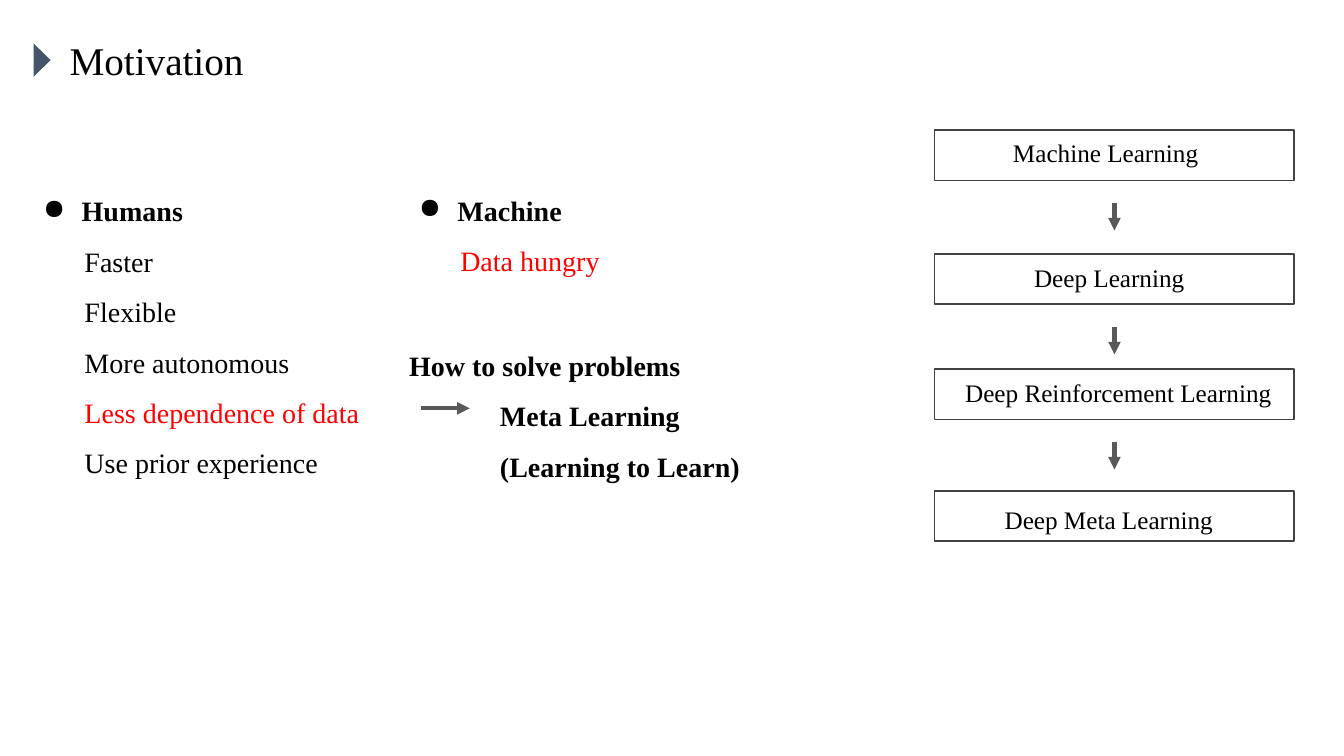
from dataclasses import dataclass

from lxml import etree
from pptx import Presentation
from pptx.dml.color import RGBColor
from pptx.enum.shapes import MSO_CONNECTOR, MSO_SHAPE
from pptx.enum.text import MSO_ANCHOR, PP_ALIGN
from pptx.oxml.ns import qn
from pptx.util import Cm, Pt

TRIANGLE, RECTANGLE = MSO_SHAPE.ISOSCELES_TRIANGLE, MSO_SHAPE.RECTANGLE
STRAIGHT = MSO_CONNECTOR.STRAIGHT
TOP, MIDDLE = MSO_ANCHOR.TOP, MSO_ANCHOR.MIDDLE
LEFT, CENTER = PP_ALIGN.LEFT, PP_ALIGN.CENTER


@dataclass(frozen=True)
class Theme:
    """Fonts, type sizes and colours of the slide."""
    font: str = "Times New Roman"
    title: Pt = Pt(28)
    body: Pt = Pt(20)
    step: Pt = Pt(18)
    text: RGBColor = RGBColor(0, 0, 0)
    accent: RGBColor = RGBColor(255, 0, 0)
    marker: RGBColor = RGBColor(0x44, 0x54, 0x6A)
    border: RGBColor = RGBColor(0x42, 0x42, 0x42)
    arrow: RGBColor = RGBColor(0x59, 0x59, 0x59)


THEME = Theme()
HEADING = {"bold": True, "bullet": True}
ITEM = {"margin": 1.04}
KEY_ITEM = {"margin": 1.04, "color": THEME.accent}
STRONG = {"bold": True}
ANSWER = {"bold": True, "margin": 2.29}

BOX_LEFT, BOX_WIDTH, BOX_HEIGHT = 23.55, 9.07, 1.27
ARROW_GAP, ARROW_LENGTH = 0.56, 0.7
STEPS = [
    ("Machine Learning", 3.28, -0.22, -0.08),
    ("Deep Learning", 6.4, -0.13, -0.05),
    ("Deep Reinforcement Learning", 9.3, 0.1, -0.05),
    ("Deep Meta Learning", 12.37, -0.14, 0.08),
]


def set_all(target, values):
    """Set each attribute in values on target."""
    for name, value in values.items():
        setattr(target, name, value)


def add_run(p, text, size, color=THEME.text, bold=False):
    """Add a formatted run to a paragraph."""
    r = p.add_run()
    r.text = text
    set_all(r.font, {"name": THEME.font, "size": size, "bold": bold})
    r.font.color.rgb = color


def add_title(s, text):
    """Fill and place the title with its triangular marker."""
    sp = s.shapes.title
    set_all(sp, {"left": Cm(1.5), "top": Cm(0.79), "width": Cm(6), "height": Cm(1.45)})
    set_all(sp.text_frame, {"word_wrap": True, "vertical_anchor": TOP})
    p = sp.text_frame.paragraphs[0]
    set_all(p, {"alignment": LEFT, "line_spacing": 1.0})
    add_run(p, text, THEME.title)
    marker = s.shapes.add_shape(TRIANGLE, Cm(0.64), Cm(1.3), Cm(0.84), Cm(0.43))
    marker.rotation = 90
    marker.shadow.inherit = False
    marker.fill.solid()
    marker.fill.fore_color.rgb = THEME.marker
    marker.line.fill.background()


def set_indent(p, margin=0, bullet=False):
    """Indent a paragraph, with a hanging bullet if asked."""
    pPr = p._p.get_or_add_pPr()
    if bullet:
        pPr.set("marL", str(Cm(0.97)))
        pPr.set("indent", str(-Cm(0.97)))
        etree.SubElement(pPr, qn("a:buChar")).set("char", "●")
    else:
        pPr.set("marL", str(Cm(margin)))


def add_text(s, left, top, width, height, lines):
    """Add a text box with one paragraph per (text, format) line."""
    tf = s.shapes.add_textbox(Cm(left), Cm(top), Cm(width), Cm(height)).text_frame
    tf.word_wrap = True
    for i, (text, style) in enumerate(lines):
        p = tf.add_paragraph() if i else tf.paragraphs[0]
        set_indent(p, style.get("margin", 0), style.get("bullet", False))
        p.line_spacing = 1.5
        add_run(p, text, THEME.body, style.get("color", THEME.text), style.get("bold", False))


def add_arrow(s, x1, y1, x2, y2):
    """Add a straight arrow."""
    sp = s.shapes.add_connector(STRAIGHT, Cm(x1), Cm(y1), Cm(x2), Cm(y2))
    sp.line.color.rgb = THEME.arrow
    sp.line.width = Pt(3)
    etree.SubElement(sp.line._get_or_add_ln(), qn("a:tailEnd")).set("type", "triangle")
    etree.SubElement(sp._element.spPr, qn("a:effectLst"))


def add_step(s, text, top, dx, dy):
    """Add an outlined box whose label is shifted by dx and dy."""
    sp = s.shapes.add_shape(RECTANGLE, Cm(BOX_LEFT), Cm(top), Cm(BOX_WIDTH), Cm(BOX_HEIGHT))
    sp.shadow.inherit = False
    sp.fill.background()
    sp.line.color.rgb = THEME.border
    sp.line.width = Pt(1.25)
    tf = sp.text_frame
    set_all(tf, {
        "word_wrap": True, "vertical_anchor": MIDDLE,
        "margin_left": Cm(0.25 + dx), "margin_right": Cm(0.25 - dx),
        "margin_top": Cm(0.13 + dy), "margin_bottom": Cm(0.13 - dy),
    })
    p = tf.paragraphs[0]
    p.alignment = CENTER
    add_run(p, text, THEME.step)


def main():
    """Build and save the slide."""
    prs = Presentation()
    set_all(prs, {"slide_width": Cm(33.87), "slide_height": Cm(19.05)})
    s = prs.slides.add_slide(prs.slide_layouts[5])
    add_title(s, "Motivation")

    add_text(s, 0.84, 4.34, 17.27, 7.8, [
        ("Humans", HEADING),
        ("Faster", ITEM),
        ("Flexible", ITEM),
        ("More autonomous", ITEM),
        ("Less dependence of data", KEY_ITEM),
        ("Use prior experience", ITEM),
    ])
    add_text(s, 10.31, 4.32, 17.27, 2.67, [("Machine", HEADING), ("Data hungry", KEY_ITEM)])
    add_text(s, 10.06, 8.23, 17.27, 3.96, [
        ("How to solve problems", STRONG),
        ("Meta Learning", ANSWER),
        ("(Learning to Learn)", ANSWER),
    ])
    add_arrow(s, 10.62, 10.29, 11.84, 10.29)

    for step in STEPS:
        add_step(s, *step)
    center = BOX_LEFT + BOX_WIDTH / 2
    for _, top, _, _ in STEPS[:-1]:
        start = top + BOX_HEIGHT + ARROW_GAP
        add_arrow(s, center, start, center, start + ARROW_LENGTH)

    prs.save("out.pptx")


if __name__ == "__main__":
    main()
